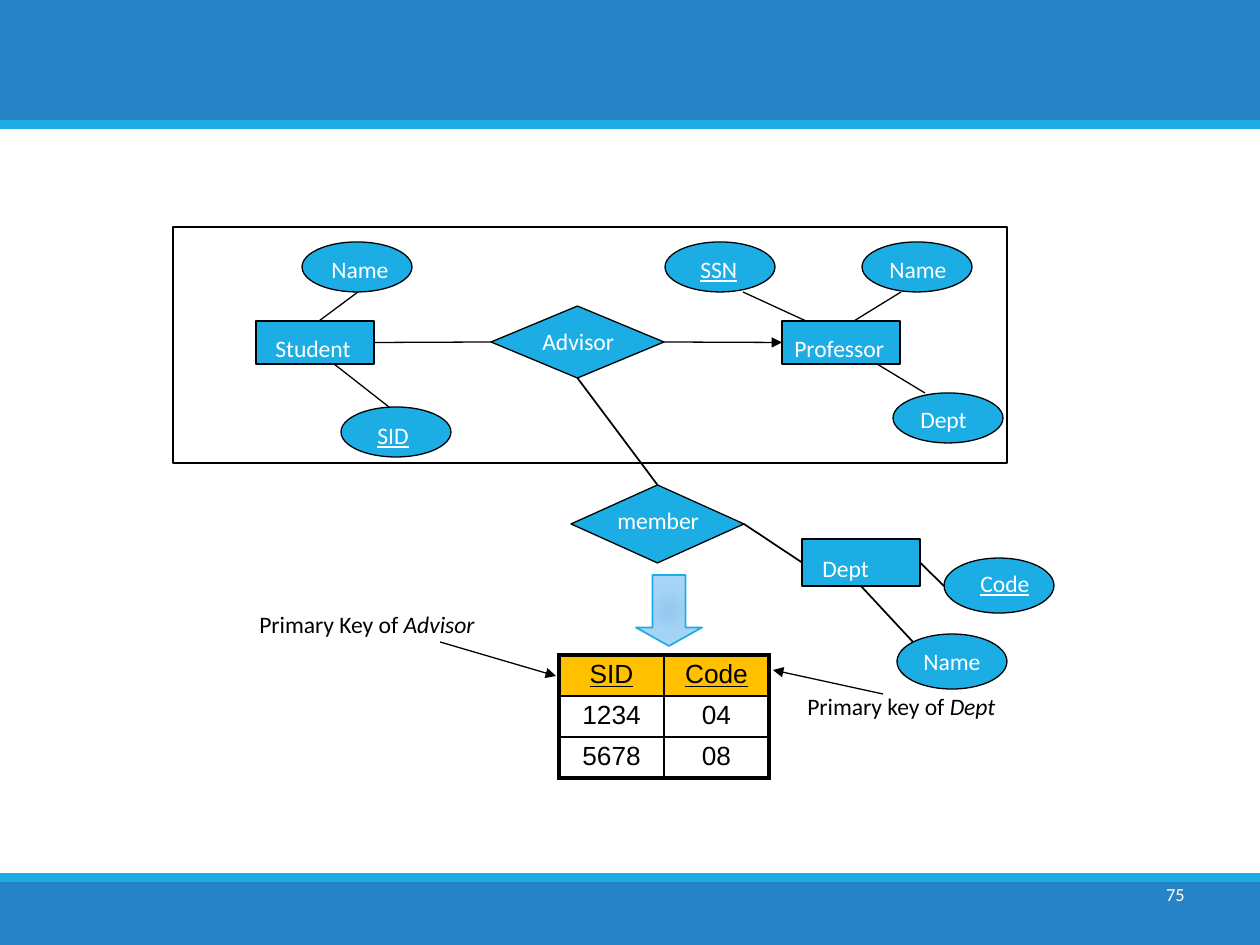
import pptx
import pptx.dml.color
import pptx.enum.shapes
import pptx.enum.text
import pptx.oxml
import pptx.oxml.ns
import pptx.util
from lxml import etree

SHAPE = pptx.enum.shapes.MSO_SHAPE
ALIGN = pptx.enum.text.PP_ALIGN
ANCHOR = pptx.enum.text.MSO_ANCHOR
PX = 914400 / 126
COLORS = {"band": "2683C6", "cyan": "1CADE4", "black": "000000",
          "white": "FFFFFF", "key": "FFC000"}
LABEL_HEIGHT = 42

# Content: x, y, width, height in px
BANDS = [
    ((0, 0, 1260, 121), "band"),
    ((0, 882, 1260, 63), "band"),
    ((0, 873, 1260, 9), "cyan"),
    ((0, 120, 1260, 9), "cyan"),
]
AGGREGATION = (173, 227, 834, 236)

# key: (shape, box, text, underlined, label x, y, width or None for text inside)
NODES = {
    "student": (SHAPE.RECTANGLE, (256, 321, 118, 43), "Student", False, (263, 328, 102)),
    "student name": (SHAPE.OVAL, (302, 242, 110, 50), "Name", False, (319, 249, 87)),
    "sid": (SHAPE.OVAL, (341, 407, 110, 50), "SID", True, (365, 415, 71)),
    "advisor": (SHAPE.FLOWCHART_DECISION, (491, 306, 173, 72), "Advisor", False, (530, 321, 102)),
    "professor": (SHAPE.RECTANGLE, (782, 321, 118, 43), "Professor", False, (782, 328, 126)),
    "ssn": (SHAPE.OVAL, (665, 242, 110, 50), "SSN", True, (688, 249, 78)),
    "professor name": (SHAPE.OVAL, (862, 242, 110, 50), "Name", False, (877, 249, 87)),
    "professor dept": (SHAPE.OVAL, (893, 393, 110, 50), "Dept", False, (908, 399, 78)),
    "dept": (SHAPE.RECTANGLE, (802, 539, 118, 47), "Dept", False, (810, 548, 102)),
    "dept name": (SHAPE.OVAL, (897, 634, 110, 55), "Name", False, None),
    "code": (SHAPE.OVAL, (944, 558, 110, 55), "Code", True, (968, 563, 87)),
    "member": (SHAPE.FLOWCHART_DECISION, (571, 485, 173, 78), "member", False, (605, 500, 118)),
}

# Each end is a point or (node key, side); side: 0 top, 1 left, 2 bottom, 3 right
LINKS = [
    ((358, 292), (319, 321), 0.75, False),
    ((389, 407), (334, 364), 0.75, False),
    (("student", 3), ("advisor", 1), 0.75, False),
    (("advisor", 3), ("professor", 1), 0.75, True),
    ((743, 292), (806, 321), 0.75, False),
    ((901, 292), (854, 321), 0.75, False),
    ((925, 393), (877, 364), 0.75, False),
    ((440, 642), (556, 676), 0.75, True),
    ((883, 694), (773, 670), 0.75, True),
    (("member", 0), ("advisor", 2), 1, False),
    (("dept", 1), ("member", 3), 1, False),
    ((913, 642), ("dept", 2), 1, False),
    ((944, 586), ("dept", 3), 1, False),
]
NOTES = [
    ((247, 604, 267), "Primary Key of ", "Advisor"),
    ((795, 686, 228), "Primary key of ", "Dept"),
]
KEY_ROWS = [("SID", "Code"), ("1234", "04"), ("5678", "08")]
KEY_TABLE = (559, 655, 210, 123)
DOWN_ARROW = (636, 575, 66, 71)
GRADIENT_STOPS = [(0, "92C9F0"), (45, "A4D3F5"), (100, "A9D9FD")]
PAGE_NUMBER = ((903, 861, 294, 66), "75")


def emu(*lengths):
    return [pptx.util.Emu(round(length * PX)) for length in lengths]


def rgb(name):
    return pptx.dml.color.RGBColor.from_string(COLORS[name])


def set_values(target, values):
    for name, value in values.items():
        setattr(target, name, value)


def add_run(paragraph, text, color, size=13.5, font="Calibri", **extra):
    run = paragraph.add_run()
    run.text = text
    set_values(run.font, {"name": font, "size": pptx.util.Pt(size), **extra})
    run.font.color.rgb = rgb(color)


def add_box(shapes, kind, box, fill=None, line=None, width=0.75):
    shape = shapes.add_shape(kind, *emu(*box))
    shape.shadow.inherit = False
    if fill:
        shape.fill.solid()
        shape.fill.fore_color.rgb = rgb(fill)
    else:
        shape.fill.background()
    if line:
        shape.line.color.rgb = rgb(line)
        shape.line.width = pptx.util.Pt(width)
    else:
        shape.line.fill.background()
    return shape


def add_label(shapes, box):
    frame = shapes.add_textbox(*emu(*box)).text_frame
    frame.word_wrap = True
    return frame


def add_node(shapes, kind, box, text, underlined, label):
    node = add_box(shapes, kind, box, "cyan", "black")
    if label:
        paragraph = add_label(shapes, (*label, LABEL_HEIGHT)).paragraphs[0]
    else:
        set_values(node.text_frame, {"word_wrap": False, "vertical_anchor": ANCHOR.MIDDLE})
        paragraph = node.text_frame.paragraphs[0]
        paragraph.alignment = ALIGN.CENTER
    add_run(paragraph, text, "white", underline=underlined)
    return node


def add_link(shapes, nodes, start, end, width, arrow):
    points = [(0, 0) if point[0] in nodes else point for point in (start, end)]
    link = shapes.add_connector(pptx.enum.shapes.MSO_CONNECTOR.STRAIGHT,
                                *emu(*points[0], *points[1]))
    for point, connect in ((start, link.begin_connect), (end, link.end_connect)):
        if point[0] in nodes:
            connect(nodes[point[0]], point[1])
    link.line.color.rgb = rgb("black")
    link.line.width = pptx.util.Pt(width)
    if arrow:
        etree.SubElement(link.line._get_or_add_ln(), pptx.oxml.ns.qn("a:tailEnd"), type="triangle")
    etree.SubElement(link._element.spPr, pptx.oxml.ns.qn("a:effectLst"))


def fill_gradient(shape):
    stops = "".join(f'<a:gs pos="{at * 1000}"><a:srgbClr val="{color}"/></a:gs>'
                    for at, color in GRADIENT_STOPS)
    gradient = pptx.oxml.parse_xml(
        f'<a:gradFill {pptx.oxml.ns.nsdecls("a")}><a:gsLst>{stops}</a:gsLst><a:path path="circle">'
        '<a:fillToRect l="50000" t="50000" r="50000" b="50000"/></a:path></a:gradFill>')
    properties = shape._element.spPr
    properties.replace(properties.find(pptx.oxml.ns.qn("a:noFill")), gradient)


def set_borders(cell, outer_sides):
    properties = cell._tc.get_or_add_tcPr()
    for index, side in enumerate("LRTB"):
        width = pptx.util.Pt(2.25 if side in outer_sides else 1)
        properties.insert(index, pptx.oxml.parse_xml(
            f'<a:ln{side} {pptx.oxml.ns.nsdecls("a")} w="{width}"><a:solidFill>'
            f'<a:srgbClr val="{COLORS["black"]}"/></a:solidFill></a:ln{side}>'))


def add_key_table(shapes):
    last_row, last_column = len(KEY_ROWS) - 1, len(KEY_ROWS[0]) - 1
    table = shapes.add_table(last_row + 1, last_column + 1, *emu(*KEY_TABLE)).table
    set_values(table, {"first_row": False, "horz_banding": False})
    side, top = emu(9, 5)
    for r, row in enumerate(KEY_ROWS):
        for c, text in enumerate(row):
            cell = table.cell(r, c)
            set_values(cell, {"margin_left": side, "margin_right": side,
                              "margin_top": top, "margin_bottom": top})
            cell.fill.solid()
            cell.fill.fore_color.rgb = rgb("white" if r else "key")
            paragraph = cell.text_frame.paragraphs[0]
            paragraph.alignment = ALIGN.CENTER
            add_run(paragraph, text, "black", 15, "Arial", underline=r == 0)
            edges = {"L": c == 0, "R": c == last_column, "T": r == 0, "B": r == last_row}
            set_borders(cell, [edge for edge, outer in edges.items() if outer])


def main():
    deck = pptx.Presentation()
    deck.slide_width, deck.slide_height = emu(1260, 945)
    shapes = deck.slides.add_slide(deck.slide_layouts[6]).shapes

    # Header and footer bands
    for box, color in BANDS:
        add_box(shapes, SHAPE.RECTANGLE, box, color)

    # Key table, block arrow and notes
    add_key_table(shapes)
    arrow = add_box(shapes, SHAPE.DOWN_ARROW, DOWN_ARROW, line="cyan", width=1)
    arrow.adjustments[1] = 0.28
    fill_gradient(arrow)
    for box, lead, relation in NOTES:
        paragraph = add_label(shapes, (*box, LABEL_HEIGHT)).paragraphs[0]
        add_run(paragraph, lead, "black")
        add_run(paragraph, relation, "black", italic=True)

    # Entity-relationship diagram
    add_box(shapes, SHAPE.RECTANGLE, AGGREGATION, line="black")
    nodes = {key: add_node(shapes, *node) for key, node in NODES.items()}
    for link in LINKS:
        add_link(shapes, nodes, *link)

    # Page number
    box, number = PAGE_NUMBER
    frame = add_label(shapes, box)
    frame.vertical_anchor = ANCHOR.MIDDLE
    frame.paragraphs[0].alignment = ALIGN.RIGHT
    add_run(frame.paragraphs[0], number, "white", 10.5)
    deck.save("out.pptx")


if __name__ == "__main__":
    main()
